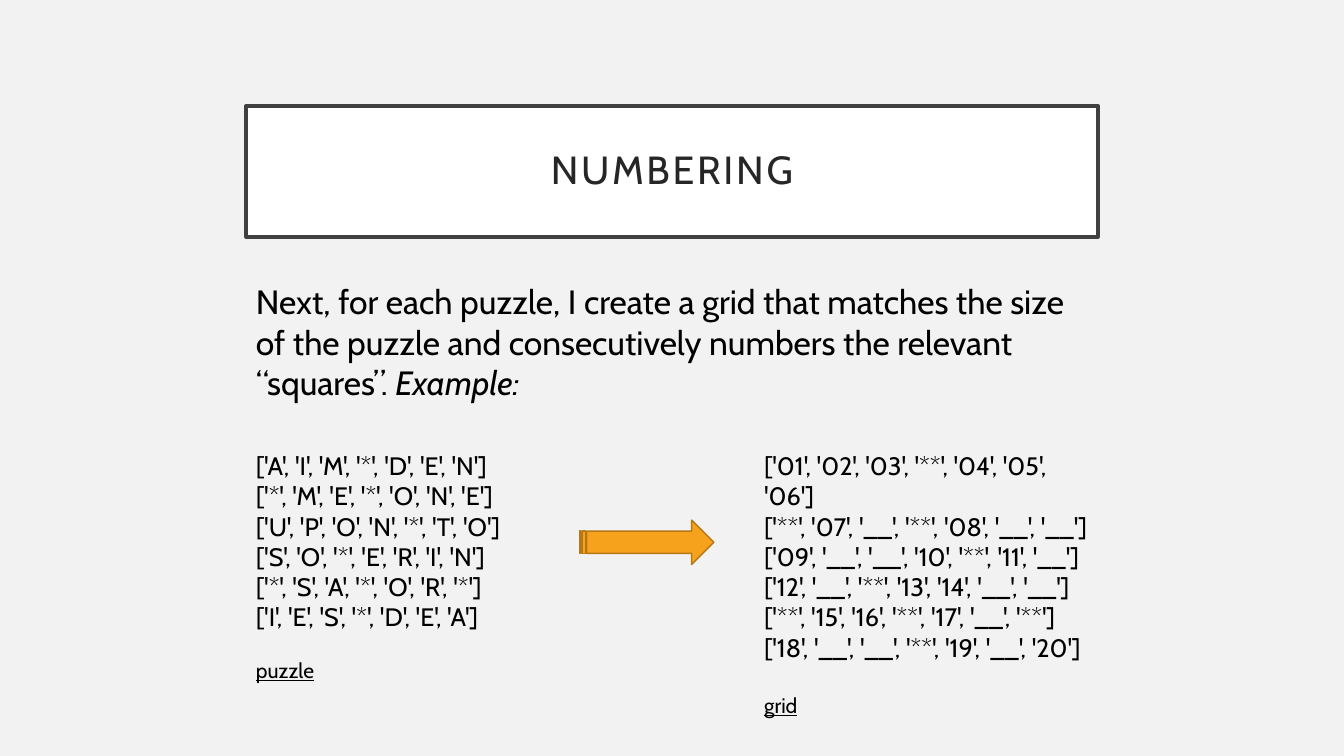
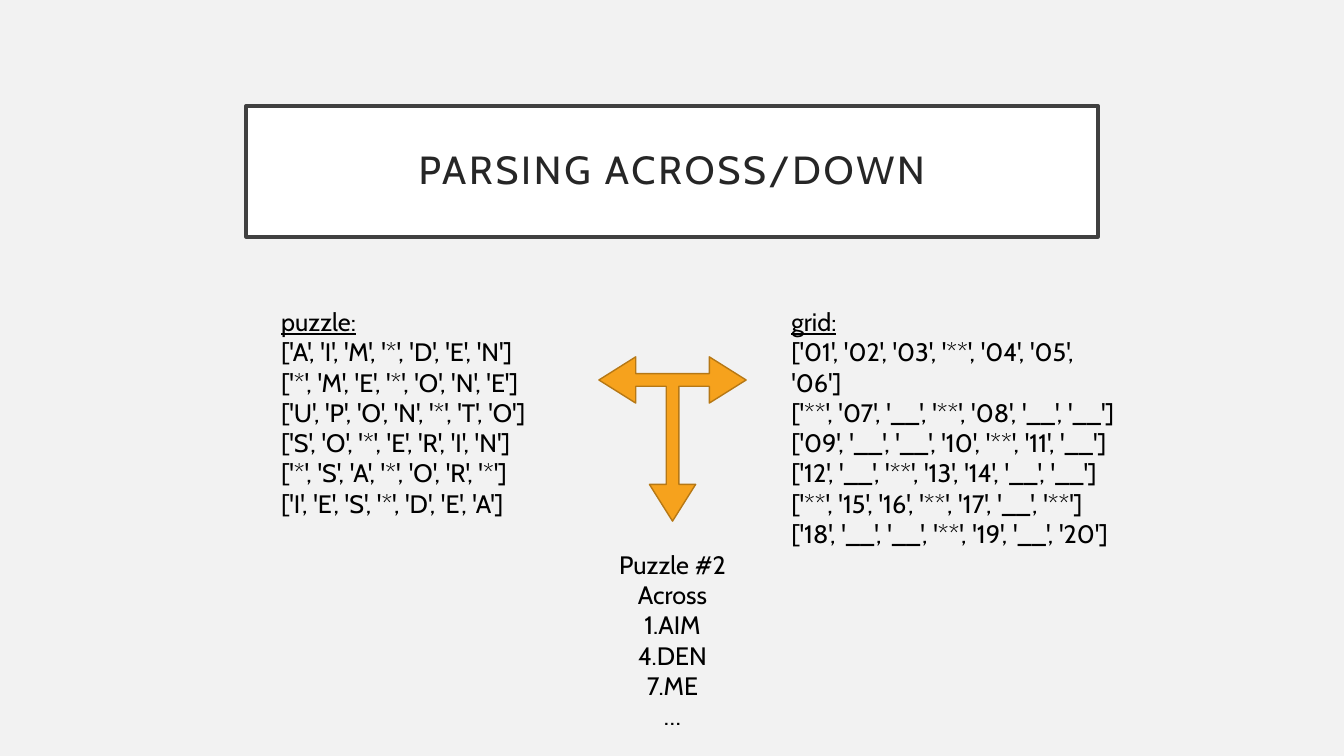
from dataclasses import dataclass

from pptx import Presentation
from pptx import util as u
from pptx.dml.color import RGBColor
from pptx.enum import shapes, text


@dataclass(frozen=True)
class Theme:
    font: str = "Cabin"
    background: RGBColor = RGBColor(0xF2, 0xF2, 0xF2)
    title_fill: RGBColor = RGBColor(0xFF, 0xFF, 0xFF)
    title_line: RGBColor = RGBColor(0x40, 0x40, 0x40)
    title_text: RGBColor = RGBColor(0x26, 0x26, 0x26)
    body_text: RGBColor = RGBColor(0x00, 0x00, 0x00)
    arrow_fill: RGBColor = RGBColor(0xF6, 0xA2, 0x1D)
    arrow_line: RGBColor = RGBColor(0xB6, 0x78, 0x15)
    title_size: int = 28
    intro_size: int = 24
    body_size: int = 18
    caption_size: int = 15


THEME = Theme()


@dataclass(frozen=True)
class Box:
    left: float
    top: float
    width: float
    height: float

    def lengths(self) -> tuple:
        return tuple(u.Inches(n) for n in (self.left, self.top, self.width, self.height))


@dataclass(frozen=True)
class Span:
    text: str
    size: int = THEME.body_size
    italic: bool = False
    underline: bool = False


@dataclass(frozen=True)
class Line:
    spans: tuple[Span, ...]
    space_before: float = 0


@dataclass(frozen=True)
class Arrow:
    box: Box
    kind: shapes.MSO_SHAPE
    rotation: float = 0
    adjustments: tuple[float, ...] = ()


TITLE_BOX = Box(2.44, 1.05, 8.45, 1.3)
PUZZLE_ROWS = ("AIM*DEN", "*MEO*NE".replace("O*", "*O"), "UPON*TO", "SO*ERIN", "*SA*OR*", "IES*DEA")
GRID_ROWS = (
    "01 02 03 ** 04 05 06",
    "** 07 __ ** 08 __ __",
    "09 __ __ 10 ** 11 __",
    "12 __ ** 13 14 __ __",
    "** 15 16 ** 17 __ **",
    "18 __ __ ** 19 __ 20",
)


def plain_lines(rows) -> list[Line]:
    return [Line((Span(row),)) for row in rows]


PUZZLE = plain_lines(str(list(row)) for row in PUZZLE_ROWS)
GRID = plain_lines(str(row.split()) for row in GRID_ROWS)


def label(name: str, size: int = THEME.body_size, space_before: float = 0) -> Line:
    return Line((Span(name, size, underline=True),), space_before)


def add_run(paragraph, span: Span, color: RGBColor):
    run = paragraph.add_run()
    run.text = span.text
    run.font.name = THEME.font
    run.font.size = u.Pt(span.size)
    run.font.color.rgb = color
    if span.italic:
        run.font.italic = True
    if span.underline:
        run.font.underline = True
    return run


def paint(shape, fill: RGBColor, line: RGBColor, width: float) -> None:
    shape.fill.solid()
    shape.fill.fore_color.rgb = fill
    shape.line.color.rgb = line
    shape.line.width = u.Pt(width)


def add_titled_slide(presentation, title: str):
    slide = presentation.slides.add_slide(presentation.slide_layouts.get_by_name("Title Only"))
    shape = slide.shapes.title
    shape.left, shape.top, shape.width, shape.height = TITLE_BOX.lengths()
    paint(shape, THEME.title_fill, THEME.title_line, 2.5)
    frame = shape.text_frame
    frame.auto_size = text.MSO_AUTO_SIZE.NONE
    frame.word_wrap = True
    frame.vertical_anchor = text.MSO_ANCHOR.MIDDLE
    frame.margin_left = frame.margin_right = u.Inches(0.2)
    frame.margin_top = frame.margin_bottom = u.Inches(0.2)
    paragraph = frame.paragraphs[0]
    paragraph.alignment = text.PP_ALIGN.CENTER
    paragraph.line_spacing = 0.9
    run = add_run(paragraph, Span(title, THEME.title_size), THEME.title_text)
    run.font._element.set("spc", "200")
    return slide


def add_text(slide, box: Box, lines: list[Line], alignment=text.PP_ALIGN.LEFT) -> None:
    frame = slide.shapes.add_textbox(*box.lengths()).text_frame
    frame.word_wrap = True
    frame.auto_size = text.MSO_AUTO_SIZE.SHAPE_TO_FIT_TEXT
    for index, line in enumerate(lines):
        paragraph = frame.add_paragraph() if index else frame.paragraphs[0]
        paragraph.alignment = alignment
        if line.space_before:
            paragraph.space_before = u.Pt(line.space_before)
        for span in line.spans:
            add_run(paragraph, span, THEME.body_text)


def add_arrow(slide, arrow: Arrow) -> None:
    shape = slide.shapes.add_shape(arrow.kind, *arrow.box.lengths())
    shape.shadow.inherit = False
    shape.rotation = arrow.rotation
    for index, value in enumerate(arrow.adjustments):
        shape.adjustments[index] = value
    paint(shape, THEME.arrow_fill, THEME.arrow_line, 1)


def build_numbering(presentation) -> None:
    slide = add_titled_slide(presentation, "NUMBERING")
    intro = Line((
        Span(
            "Next, for each puzzle, I create a grid that matches the size of the puzzle "
            "and consecutively numbers the relevant “squares”. ",
            THEME.intro_size,
        ),
        Span("Example:", THEME.intro_size, italic=True),
    ))
    add_text(slide, Box(2.44, 2.74, 8.45, 1.31), [intro])
    add_text(slide, Box(2.44, 4.42, 2.89, 2.42), PUZZLE + [label("puzzle", THEME.caption_size, 18)])
    add_text(slide, Box(7.48, 4.42, 3.42, 2.52), GRID + [label("grid", THEME.caption_size, 21.5)])
    add_arrow(slide, Arrow(Box(5.75, 5.16, 1.33, 0.44), shapes.MSO_SHAPE.STRIPED_RIGHT_ARROW))


def build_parsing(presentation) -> None:
    slide = add_titled_slide(presentation, "PARSING ACROSS/DOWN")
    add_text(slide, Box(2.69, 2.99, 2.89, 2.22), [label("puzzle:")] + PUZZLE)
    add_text(slide, Box(7.75, 2.99, 3.42, 2.22), [label("grid:")] + GRID)
    add_arrow(slide, Arrow(
        Box(5.94, 3.54, 1.46, 1.63),
        shapes.MSO_SHAPE.LEFT_RIGHT_UP_ARROW,
        rotation=180,
        adjustments=(0.086, 0.157, 0.25),
    ))
    clues = plain_lines(("Puzzle #2", "Across", "1.AIM", "4.DEN", "7.ME", "…"))
    add_text(slide, Box(5.94, 5.4, 1.46, 1.92), clues, text.PP_ALIGN.CENTER)


def main() -> None:
    presentation = Presentation()
    presentation.slide_width = u.Inches(13.33)
    presentation.slide_height = u.Inches(7.5)
    background = presentation.slide_master.background.fill
    background.solid()
    background.fore_color.rgb = THEME.background
    build_numbering(presentation)
    build_parsing(presentation)
    presentation.save("out.pptx")


if __name__ == "__main__":
    main()
